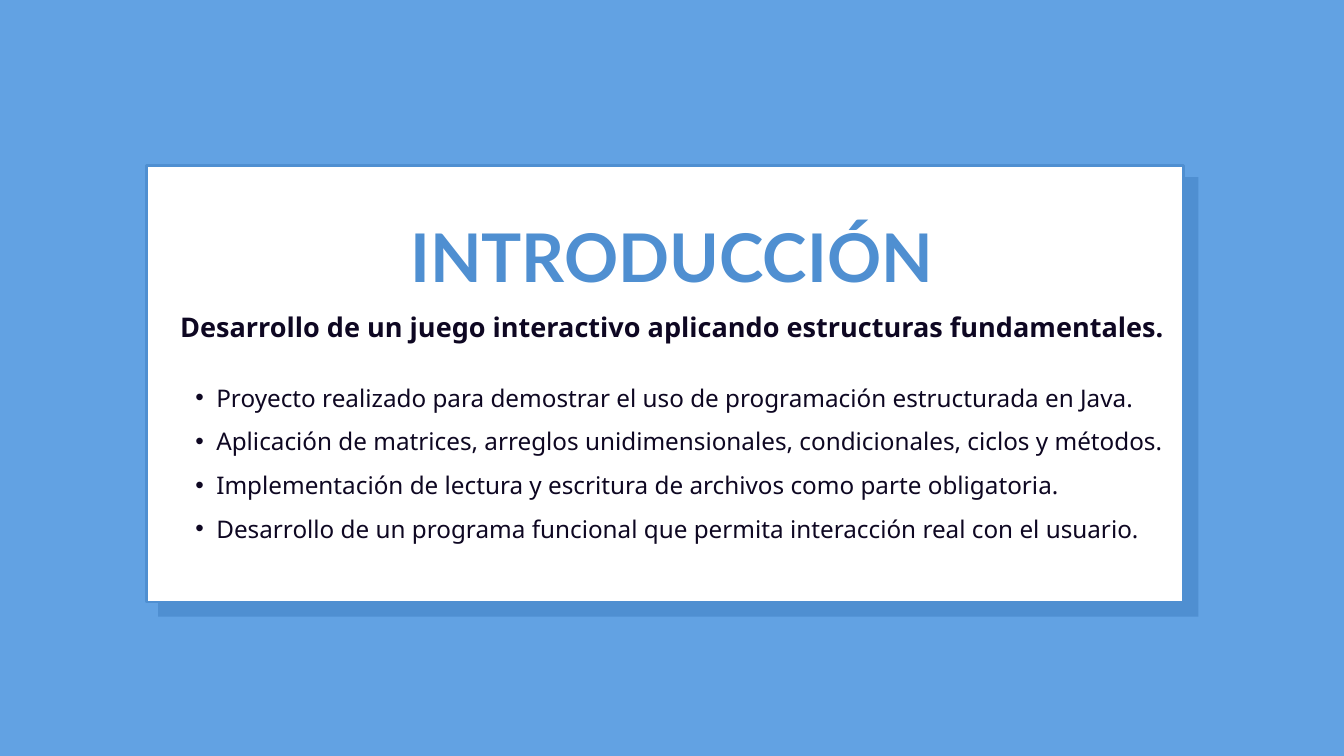
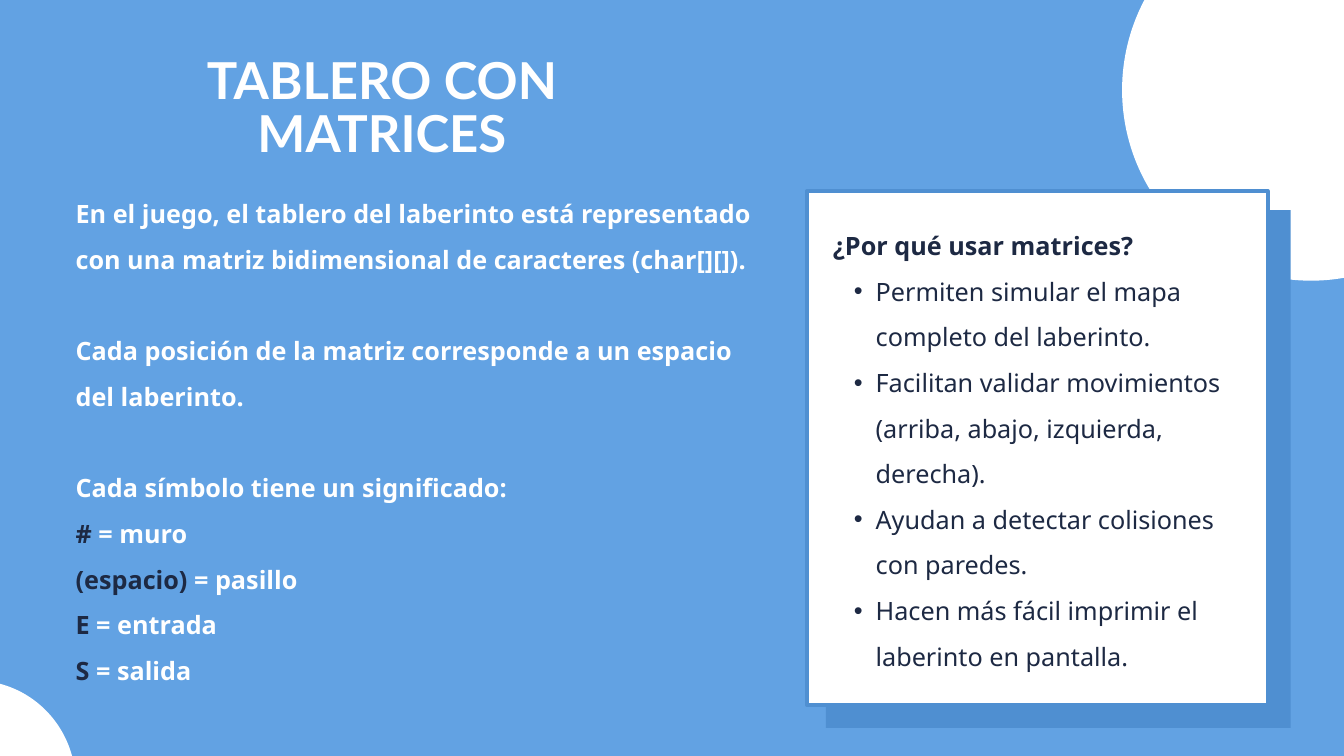
from dataclasses import dataclass
from lxml.etree import SubElement
from pptx import Presentation
from pptx.dml.color import RGBColor
from pptx.enum.shapes import MSO_SHAPE as Shape
from pptx.enum.text import PP_ALIGN as Align
from pptx.oxml.ns import qn
from pptx.util import Pt

PX = 9525
SLIDE_SIZE = (1920, 1080)


@dataclass(frozen=True)
class Theme:
    sky: str = "62A2E3"
    blue: str = "4F8FD1"
    white: str = "FFFFFF"
    ink: str = "0E0722"
    navy: str = "1D2943"
    heading: str = "Lato"
    body: str = "Noto Sans"


THEME = Theme()

TITLE = dict(font=THEME.heading, bold=True, align=Align.CENTER)
BODY = dict(font=THEME.body, size=27, line=48.9, align=Align.LEFT)
STYLES = {
    "card title": dict(TITLE, size=71.9, line=100.7, color=THEME.blue),
    "slide title": dict(TITLE, size=54.5, line=57.8, color=THEME.white),
    "subtitle": dict(font=THEME.body, size=29, line=40.6, color=THEME.ink, bold=True, align=Align.CENTER),
    "intro bullet": dict(BODY, size=26, line=46.8, color=THEME.ink, bold=False, indent=(59, -30)),
    "statement": dict(BODY, color=THEME.white, bold=True),
    "new statement": dict(BODY, color=THEME.white, bold=True, before=48.9),
    "question": dict(BODY, color=THEME.navy, bold=True),
    "reason": dict(BODY, color=THEME.navy, bold=False, indent=(61, -31)),
}

SYMBOLS = [("# ", "= muro"), ("(espacio)", " = pasillo"), ("E", " = entrada"), ("S", " = salida")]

SLIDES = [
    dict(
        circles=[],
        card=dict(box=(207, 234, 1486, 628), border=4, offset=19),
        texts=[
            ((517, 289, 885, 132), [("card title", "INTRODUCCIÓN")]),
            ((250, 436, 1421, 52), [
                ("subtitle", "Desarrollo de un juego interactivo aplicando estructuras fundamentales."),
            ]),
            ((250, 526, 1421, 243), [
                ("intro bullet", "Proyecto realizado para demostrar el uso de programación estructurada en Java."),
                ("intro bullet", "Aplicación de matrices, arreglos unidimensionales, condicionales, ciclos y métodos."),
                ("intro bullet", "Implementación de lectura y escritura de archivos como parte obligatoria."),
                ("intro bullet", "Desarrollo de un programa funcional que permita interacción real con el usuario."),
            ]),
        ],
    ),
    dict(
        circles=[(1603, -144, 540, 545), (-182, 972, 290, 293)],
        card=dict(box=(1150, 270, 664, 740), border=6, offset=30),
        texts=[
            ((200, 79, 691, 159), [("slide title", "TABLERO CON MATRICES")]),
            ((108, 262, 985, 710), [
                ("statement", "En el juego, el tablero del laberinto está representado con una matriz "
                              "bidimensional de caracteres (char[][])."),
                ("new statement", "Cada posición de la matriz corresponde a un espacio del laberinto."),
                ("new statement", "Cada símbolo tiene un significado:"),
                *[("statement", symbol) for symbol in SYMBOLS],
            ]),
            ((1190, 307, 580, 645), [
                ("question", "¿Por qué usar matrices?"),
                ("reason", "Permiten simular el mapa completo del laberinto."),
                ("reason", "Facilitan validar movimientos (arriba, abajo, izquierda, derecha)."),
                ("reason", "Ayudan a detectar colisiones con paredes."),
                ("reason", "Hacen más fácil imprimir el laberinto en pantalla."),
            ]),
        ],
    ),
]


def rgb(color):
    return RGBColor.from_string(color)


def emu(box):
    return [length * PX for length in box]


def set_all(target, values):
    for name, value in values.items():
        setattr(target, name, value)


def add_solid(slide, kind, box, fill, border=0):
    shape = slide.shapes.add_shape(kind, *emu(box))
    shape.shadow.inherit = False
    shape.fill.solid()
    shape.fill.fore_color.rgb = rgb(fill)
    if border:
        shape.line.color.rgb = rgb(THEME.blue)
        shape.line.width = border * PX
    else:
        shape.line.fill.background()


def add_card(slide, box, border, offset):
    left, top, width, height = box
    inset = border // 2
    add_solid(slide, Shape.RECTANGLE, (left + offset, top + offset, width, height), THEME.blue)
    face = (left + inset, top + inset, width - border, height - border)
    add_solid(slide, Shape.RECTANGLE, face, THEME.white, border)


def add_bullet(paragraph, indent):
    properties = paragraph._p.get_or_add_pPr()
    for name, length in zip(("marL", "indent"), emu(indent)):
        properties.set(name, str(length))
    SubElement(properties, qn("a:buFont")).set("typeface", "Arial")
    SubElement(properties, qn("a:buChar")).set("char", "•")


def fill_paragraph(paragraph, style, content):
    if "indent" in style:
        add_bullet(paragraph, style["indent"])
    set_all(paragraph, dict(alignment=style["align"], line_spacing=Pt(style["line"])))
    if "before" in style:
        paragraph.space_before = Pt(style["before"])
    if isinstance(content, str):
        runs = [(content, style["color"])]
    else:
        runs = zip(content, (THEME.navy, style["color"]))
    for text, color in runs:
        run = paragraph.add_run()
        run.text = text
        set_all(run.font, dict(name=style["font"], size=Pt(style["size"]), bold=style["bold"]))
        run.font.color.rgb = rgb(color)


def add_text(slide, box, paragraphs):
    frame = slide.shapes.add_textbox(*emu(box)).text_frame
    set_all(frame, dict(word_wrap=True, margin_left=0, margin_top=0, margin_right=0, margin_bottom=0))
    for index, (style, content) in enumerate(paragraphs):
        paragraph = frame.add_paragraph() if index else frame.paragraphs[0]
        fill_paragraph(paragraph, STYLES[style], content)


def add_slide(presentation, circles, card, texts):
    slide = presentation.slides.add_slide(presentation.slide_layouts[6])
    slide.background.fill.solid()
    slide.background.fill.fore_color.rgb = rgb(THEME.sky)
    for circle in circles:
        add_solid(slide, Shape.OVAL, circle, THEME.white)
    add_card(slide, **card)
    for box, paragraphs in texts:
        add_text(slide, box, paragraphs)


def main():
    presentation = Presentation()
    presentation.slide_width, presentation.slide_height = emu(SLIDE_SIZE)
    for content in SLIDES:
        add_slide(presentation, **content)
    presentation.save("out.pptx")


if __name__ == "__main__":
    main()
